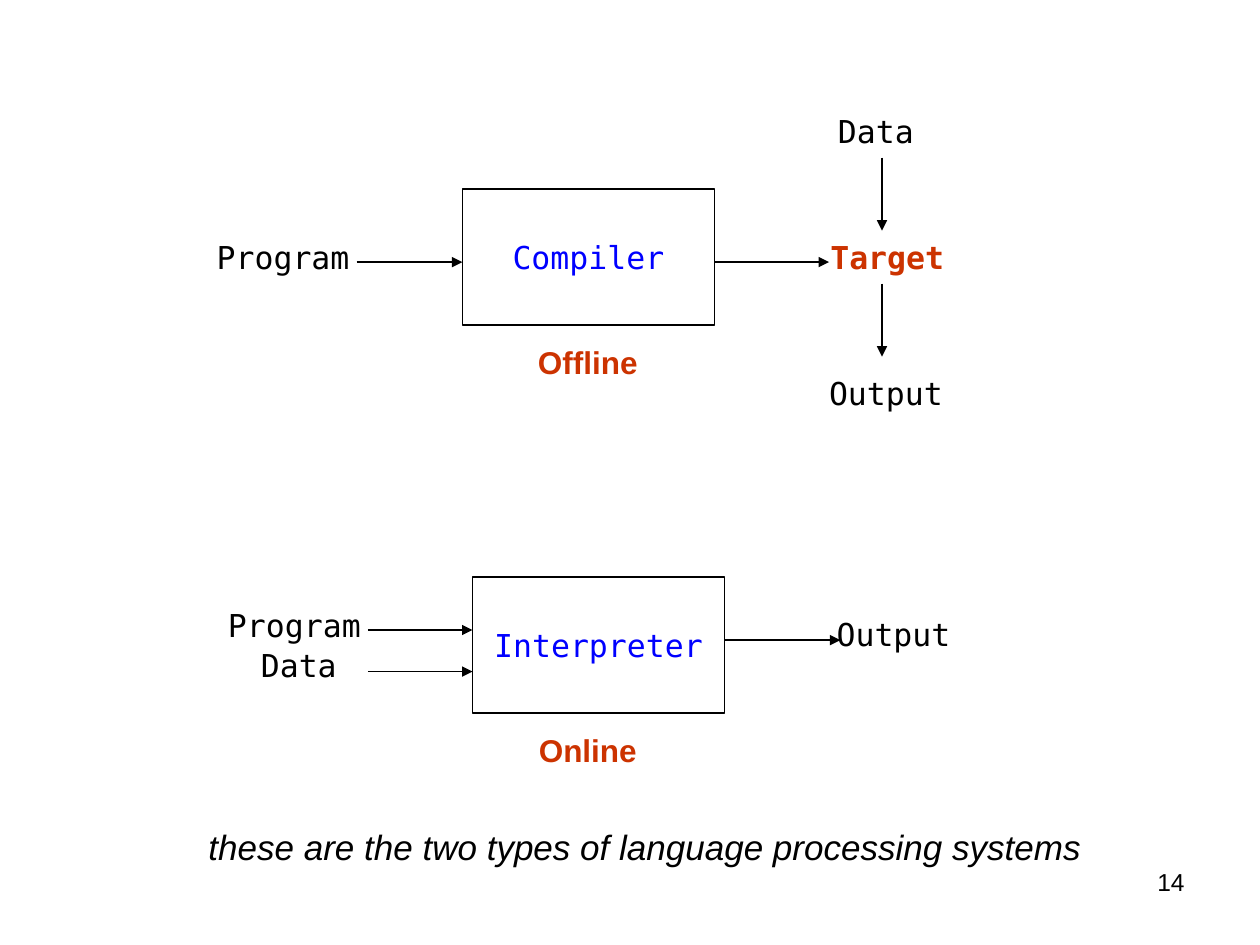
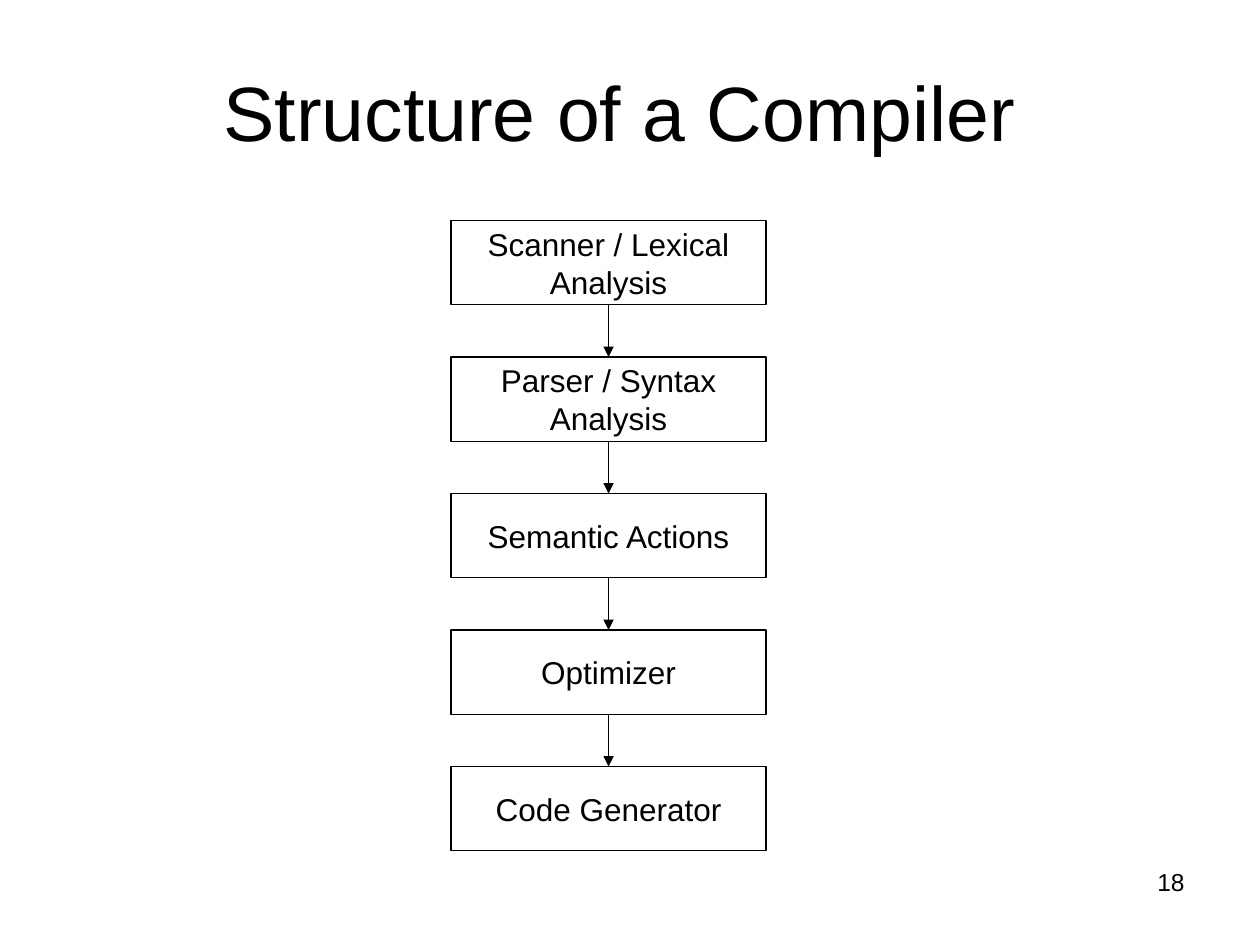
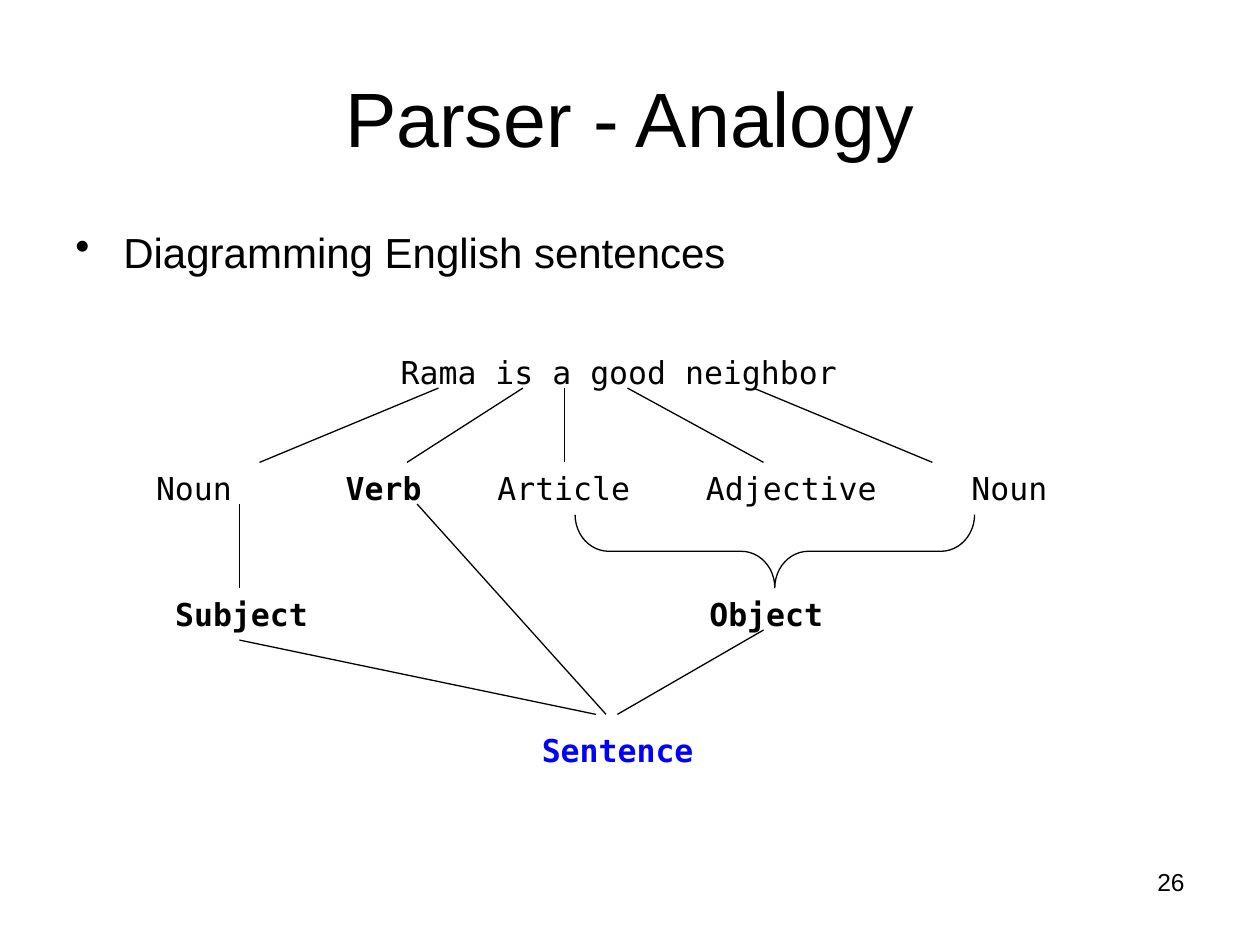
"""Build three slides on compilers: processing systems, compiler structure, parser analogy."""
from itertools import pairwise

from lxml.etree import SubElement
from pptx import Presentation
from pptx.dml.color import RGBColor
from pptx.enum.shapes import MSO_CONNECTOR as Connector, MSO_SHAPE as Shape
from pptx.enum.text import MSO_ANCHOR as Anchor, PP_ALIGN as Align
from pptx.oxml.ns import qn
from pptx.util import Inches, Pt

BLACK, BLUE, RED = "000000", "0000FF", "CC3300"
SANS, MONO = "Arial", "DejaVu Sans Mono"
LINE_WIDTH = 0.74
MONO_ADVANCE = 0.1505
INSET = 0.1
LABEL_HEIGHT = 0.4

STYLES = {
    "title": dict(name=SANS, size=44, color=BLACK),
    "bullet": dict(name=SANS, size=24, color=BLACK),
    "caption": dict(name=SANS, size=20, color=BLACK, italic=True),
    "step": dict(name=SANS, size=18, color=BLACK),
    "mode": dict(name=SANS, size=18, color=RED, bold=True),
    "page": dict(name=SANS, size=14, color=BLACK),
    "label": dict(name=MONO, size=18, color=BLACK),
    "strong": dict(name=MONO, size=18, color=BLACK, bold=True),
    "target": dict(name=MONO, size=18, color=RED, bold=True),
    "process": dict(name=MONO, size=18, color=BLUE),
    "root": dict(name=MONO, size=18, color=BLUE, bold=True),
}

PROCESSORS = [("Compiler", 3.67, 1.5), ("Interpreter", 3.75, 4.58)]
PROCESSOR_SIZE = (2, 1.08)
SYSTEM_LABELS = [
    ("Program", 1.62, 1.84, "label"),
    ("Target", 6.49, 1.84, "target"),
    ("Data", 6.55, 0.84, "label"),
    ("Output", 6.48, 2.92, "label"),
    ("Output", 6.54, 4.83, "label"),
    ("Program", 1.71, 4.76, "label"),
    ("Data", 1.97, 5.08, "label"),
]
SYSTEM_ARROWS = [
    (2.83, 2.08, 3.67, 2.08),
    (5.67, 2.08, 6.58, 2.08),
    (7, 1.25, 7, 1.83),
    (7, 2.25, 7, 2.83),
    (5.75, 5.08, 6.67, 5.08),
    (2.92, 5.33, 3.75, 5.33),
    (2.92, 5, 3.75, 5),
]
MODES = [("Offline", 2.67), ("Online", 5.75)]
CAPTION = "these are the two types of language processing systems"

STEPS = [
    "Scanner / Lexical Analysis",
    "Parser / Syntax Analysis",
    "Semantic Actions",
    "Optimizer",
    "Code Generator",
]
STEP_LEFT, STEP_TOP, STEP_PITCH = 3.58, 1.75, 13 / 12
STEP_WIDTH, STEP_HEIGHT = 2.5, 0.67

BULLET = "Diagramming English sentences"
WORD_CLASSES = [
    ("Noun", 0, "label"),
    ("Verb", 10, "strong"),
    ("Article", 18, "label"),
    ("Adjective", 29, "label"),
    ("Noun", 43, "label"),
]
TREE_LABELS = [
    ("Rama is a good neighbor", 3.08, 2.75, "label"),
    ("Object", 5.53, 4.67, "strong"),
    ("Subject", 1.29, 4.67, "strong"),
    ("Sentence", 4.2, 5.75, "root"),
]
WORD_BRANCHES = [(3.48, 2.06), (4.15, 3.23), (4.48, 4.48), (4.98, 6.06), (5.98, 7.4)]
WORD_BOTTOM, CLASS_TOP = 3.08, 3.67
TREE_LINES = [
    (1.9, 4, 1.9, 4.67),
    (1.9, 5.08, 4.73, 5.67),
    (3.31, 4, 4.81, 5.67),
    (6.06, 5, 4.9, 5.67),
]


def rgb(value):
    return RGBColor.from_string(value)


def add_run(paragraph, text, style):
    run = paragraph.add_run()
    run.text = text
    for key, value in STYLES[style].items():
        if key == "color":
            run.font.color.rgb = rgb(value)
        else:
            setattr(run.font, key, Pt(value) if key == "size" else value)


def write(shape, text, style, align=Align.CENTER, anchor=Anchor.TOP, wrap=True):
    frame = shape.text_frame
    for key, value in dict(word_wrap=wrap, vertical_anchor=anchor).items():
        setattr(frame, key, value)
    paragraph = frame.paragraphs[0]
    paragraph.alignment = align
    add_run(paragraph, text, style)
    return paragraph


def add_text(slide, text, box, style, **layout):
    shape = slide.shapes.add_textbox(*map(Inches, box))
    return write(shape, text, style, **layout)


def add_label(slide, text, left, top, style):
    width = len(text) * MONO_ADVANCE + 2 * INSET
    add_text(slide, text, (left, top, width, LABEL_HEIGHT), style, wrap=False)


def outline(shape):
    shape.line.color.rgb = rgb(BLACK)
    shape.line.width = Pt(LINE_WIDTH)


def add_outlined(slide, kind, box):
    shape = slide.shapes.add_shape(kind, *map(Inches, box))
    shape.shadow.inherit = False
    shape.fill.background()
    outline(shape)
    return shape


def add_line(slide, ends, arrow=False):
    line = slide.shapes.add_connector(Connector.STRAIGHT, *map(Inches, ends))
    outline(line)
    if arrow:
        SubElement(line.line._get_or_add_ln(), qn("a:tailEnd"), type="triangle")
    SubElement(line._element.spPr, qn("a:effectLst"))


def add_slide(presentation, number, title=None, corner=None):
    slide = presentation.slides.add_slide(presentation.slide_layouts[6])
    add_text(slide, number, (7.17, 6.83, 2.33, 0.52), "page", align=Align.RIGHT)
    if title:
        add_text(slide, title, (*corner, 9, 1.25), "title", anchor=Anchor.MIDDLE)
    return slide


def build_systems(presentation):
    slide = add_slide(presentation, "14")
    for text, left, top in PROCESSORS:
        shape = add_outlined(slide, Shape.RECTANGLE, (left, top, *PROCESSOR_SIZE))
        write(shape, text, "process", anchor=Anchor.MIDDLE, wrap=False)
    for label in SYSTEM_LABELS:
        add_label(slide, *label)
    for ends in SYSTEM_ARROWS:
        add_line(slide, ends, arrow=True)
    for text, top in MODES:
        add_text(slide, text, (4.17, top, 0.99, LABEL_HEIGHT), "mode", wrap=False)
    add_text(slide, CAPTION, (0.5, 6.5, 9.24, 0.44), "caption")


def build_structure(presentation):
    slide = add_slide(presentation, "18", "Structure of a Compiler", (0.42, 0.25))
    tops = [STEP_TOP + index * STEP_PITCH for index in range(len(STEPS))]
    for text, top in zip(STEPS, tops):
        shape = add_outlined(slide, Shape.RECTANGLE, (STEP_LEFT, top, STEP_WIDTH, STEP_HEIGHT))
        write(shape, text, "step", anchor=Anchor.MIDDLE)
    middle = STEP_LEFT + STEP_WIDTH / 2
    for top, following in pairwise(tops):
        add_line(slide, (middle, top + STEP_HEIGHT, middle, following), arrow=True)


def add_bullet(slide):
    paragraph = add_text(slide, BULLET, (0.5, 1.75, 9.42, 4.95), "bullet", align=Align.LEFT)
    paragraph.space_before = Pt(6)
    properties = paragraph._p.get_or_add_pPr()
    for key, value in dict(marL=0.38, indent=-0.38).items():
        properties.set(key, str(Inches(value)))
    SubElement(properties, qn("a:buChar"), char="•")


def add_word_classes(slide):
    (first, _, style), *others = WORD_CLASSES
    box = (1.14, CLASS_TOP, 7.4, LABEL_HEIGHT)
    paragraph = add_text(slide, first, box, style, align=Align.LEFT)
    tabs = SubElement(paragraph._p.get_or_add_pPr(), qn("a:tabLst"))
    for text, column, style in others:
        position = str(Inches(column * MONO_ADVANCE))
        SubElement(tabs, qn("a:tab"), pos=position, algn="l")
        add_run(paragraph, "\t" + text, style)


def build_analogy(presentation):
    slide = add_slide(presentation, "26", "Parser - Analogy", (0.5, 0.3))
    add_bullet(slide)
    add_word_classes(slide)
    for label in TREE_LABELS:
        add_label(slide, *label)
    branches = [(start, WORD_BOTTOM, end, CLASS_TOP) for start, end in WORD_BRANCHES]
    for ends in branches + TREE_LINES:
        add_line(slide, ends)
    brace = add_outlined(slide, Shape.LEFT_BRACE, (5.86, 2.79, 0.58, 3.17))
    brace.rotation = 270
    brace.adjustments[0] = 0.46


def main():
    presentation = Presentation()
    for key, value in dict(slide_width=10, slide_height=7.5).items():
        setattr(presentation, key, Inches(value))
    for build in (build_systems, build_structure, build_analogy):
        build(presentation)
    presentation.save("out.pptx")


main()
